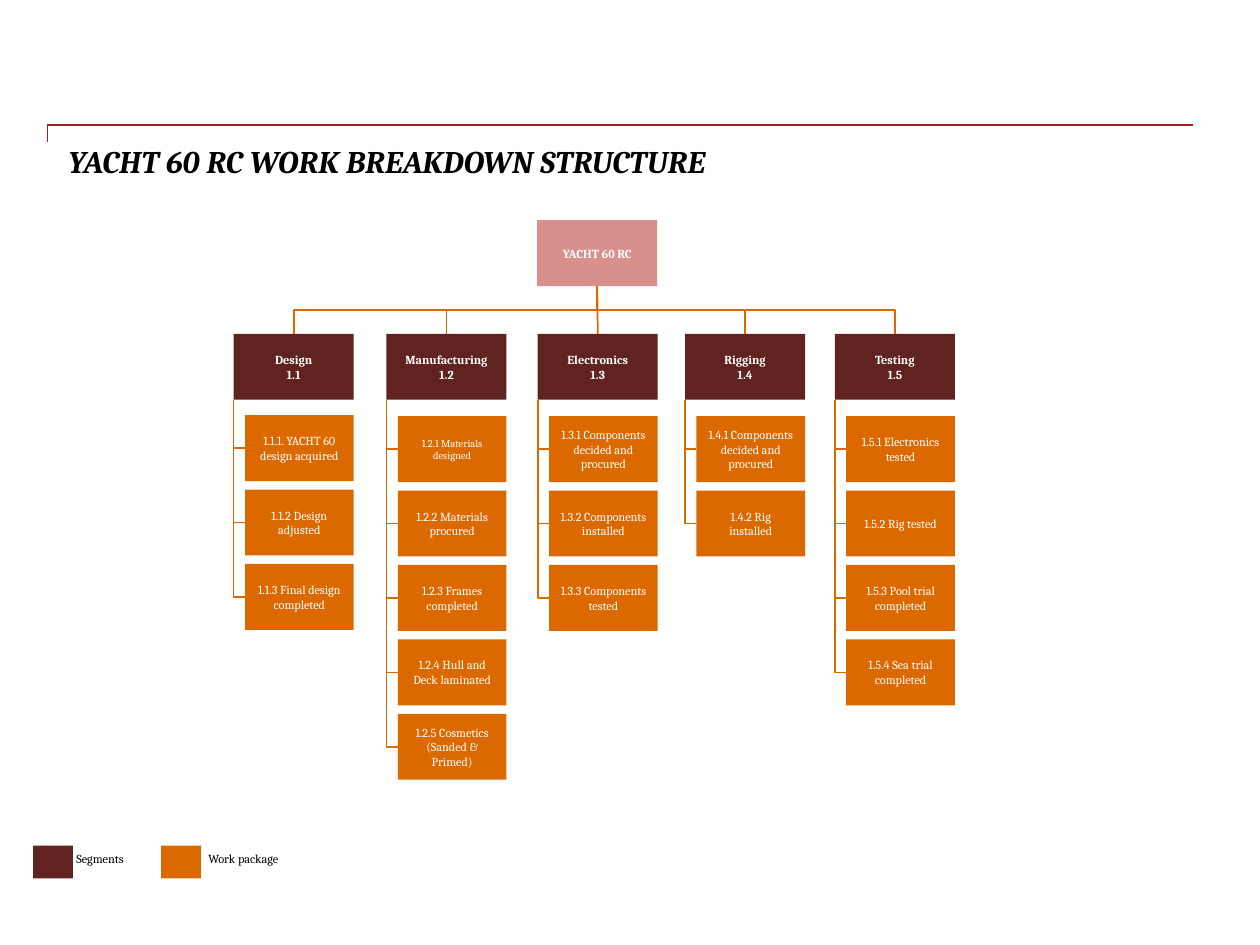
from dataclasses import dataclass

from lxml.etree import SubElement
from pptx import Presentation
from pptx.dml.color import RGBColor
from pptx.enum.shapes import MSO_CONNECTOR, MSO_SHAPE
from pptx.enum.text import MSO_ANCHOR, MSO_AUTO_SIZE, PP_ALIGN
from pptx.oxml.ns import qn
from pptx.util import Cm, Pt

FONT = "Cambria"
ROOT, SEGMENT, PACKAGE = "D9908C", "602320", "DC6900"
WHITE, BLACK, RULE = "FFFFFF", "000000", "A32020"

# Lengths in centimetres
BOX_W, BOX_H = 2.42, 1.33
INDENT = 0.23
ROOT_X, ROOT_Y = 10.83, 4.44
SEGMENT_Y = 6.73
PITCH = 1.5


@dataclass
class Segment:
    x: float
    name: str
    code: str
    packages: list[str]
    first_y: float = 8.39
    first_size: float = 7


SEGMENTS = [
    Segment(4.71, "Design", "1.1", [
        "1.1.1. YACHT 60 design acquired", "1.1.2 Design adjusted",
        "1.1.3 Final design completed"], first_y=8.37),
    Segment(7.79, "Manufacturing", "1.2", [
        "1.2.1 Materials designed", "1.2.2 Materials procured",
        "1.2.3 Frames completed", "1.2.4 Hull and Deck laminated",
        "1.2.5 Cosmetics\n(Sanded & Primed)"], first_size=6),
    Segment(10.84, "Electronics", "1.3", [
        "1.3.1 Components decided and procured", "1.3.2 Components installed",
        "1.3.3 Components tested"]),
    Segment(13.81, "Rigging", "1.4", [
        "1.4.1 Components decided and procured", "1.4.2 Rig installed"]),
    Segment(16.83, "Testing", "1.5", [
        "1.5.1 Electronics tested", "1.5.2 Rig tested",
        "1.5.3 Pool trial completed", "1.5.4 Sea trial completed"]),
]


def color(hex_code: str) -> RGBColor:
    return RGBColor.from_string(hex_code)


def write(tf, text: str, size: float, ink: str, bold=False, italic=False,
          align=PP_ALIGN.LEFT) -> None:
    for i, line in enumerate(text.split("\n")):
        p = tf.paragraphs[0] if i == 0 else tf.add_paragraph()
        p.alignment = align
        r = p.add_run()
        r.text = line
        r.font.name, r.font.size = FONT, Pt(size)
        r.font.bold, r.font.italic = bold, italic
        r.font.color.rgb = color(ink)


def set_margins(tf, side: float, top: float) -> None:
    tf.margin_left = tf.margin_right = Cm(side)
    tf.margin_top = tf.margin_bottom = Cm(top)


def add_box(s, x: float, y: float, w: float, h: float, fill: str,
            text: str = "", size: float = 7, bold=False):
    sp = s.shapes.add_shape(MSO_SHAPE.RECTANGLE, Cm(x), Cm(y), Cm(w), Cm(h))
    sp.shadow.inherit = False
    sp.fill.solid()
    sp.fill.fore_color.rgb = color(fill)
    sp.line.fill.background()
    if text:
        tf = sp.text_frame
        tf.word_wrap = True
        tf.vertical_anchor = MSO_ANCHOR.MIDDLE
        set_margins(tf, 0.23, 0.11)
        write(tf, text, size, WHITE, bold, align=PP_ALIGN.CENTER)
    return sp


def add_line(s, x1: float, y1: float, x2: float, y2: float, ink: str = PACKAGE,
             width: float = 1, kind=MSO_CONNECTOR.STRAIGHT):
    c = s.shapes.add_connector(kind, Cm(x1), Cm(y1), Cm(x2), Cm(y2))
    c.line.color.rgb = color(ink)
    c.line.width = Pt(width)
    SubElement(c._element.spPr, qn("a:effectLst"))
    return c


def add_elbow(s, x1: float, y1: float, x2: float, y2: float, preset: str,
              start=None, end=None, end_site: int = 0) -> None:
    """Draw an elbow that leaves its start point downwards."""
    c = add_line(s, x1, y1, x2, y2, kind=MSO_CONNECTOR.ELBOW)
    if start is not None:
        c.begin_connect(start, 2)
    if end is not None:
        c.end_connect(end, end_site)
    # The preset leaves sideways, so its frame is turned by a quarter
    w, h = y2 - y1, abs(x2 - x1)
    c.left, c.top = Cm((x1 + x2 - w) / 2), Cm((y1 + y2 - h) / 2)
    c.width, c.height = Cm(w), Cm(h)
    spPr = c._element.spPr
    xfrm = spPr.find(qn("a:xfrm"))
    for flip in ("flipH", "flipV"):
        xfrm.attrib.pop(flip, None)
    xfrm.set("rot", str((270 if x2 > x1 else 90) * 60000))
    if x2 > x1:
        xfrm.set("flipH", "1")
    spPr.find(qn("a:prstGeom")).set("prst", preset)


def add_segment(s, seg: Segment, root) -> None:
    head = add_box(s, seg.x, SEGMENT_Y, BOX_W, BOX_H, SEGMENT,
                   f"{seg.name}\n{seg.code}", bold=True)
    root_mid, root_end = ROOT_X + BOX_W / 2, ROOT_Y + BOX_H
    mid = seg.x + BOX_W / 2
    if abs(mid - root_mid) < 0.05:
        c = add_line(s, root_mid, root_end, mid, SEGMENT_Y)
        c.begin_connect(root, 2)
        c.end_connect(head, 0)
    else:
        add_elbow(s, root_mid, root_end, mid, SEGMENT_Y, "bentConnector3",
                  root, head)
    for i, text in enumerate(seg.packages):
        x, y = seg.x + INDENT, seg.first_y + i * PITCH
        box = add_box(s, x, y, BOX_W - INDENT, BOX_H, PACKAGE, text,
                      seg.first_size if i == 0 else 7)
        add_elbow(s, seg.x, SEGMENT_Y + BOX_H, x, y + BOX_H / 2,
                  "bentConnector2", end=box, end_site=1)


def add_legend(s, x: float, label_x: float, fill: str, label: str) -> None:
    add_box(s, x, 17.05, 0.8, 0.66, fill)
    tf = s.shapes.add_textbox(Cm(label_x), Cm(17.17), Cm(2.74), Cm(0.3)).text_frame
    tf.word_wrap = True
    set_margins(tf, 0, 0)
    write(tf, label, 7, BLACK)


def main() -> None:
    prs = Presentation()
    prs.slide_width, prs.slide_height = Cm(25.4), Cm(19.05)
    s = prs.slides.add_slide(prs.slide_layouts[5])

    # Heading rule: a short tick up, then across
    rule = add_line(s, 0.96, 2.86, 24.05, 2.52, RULE, 0.75, MSO_CONNECTOR.ELBOW)
    guides = rule._element.spPr.find(qn("a:prstGeom")).get_or_add_avLst()
    SubElement(guides, qn("a:gd"), name="adj1", fmla="val 0")

    # Title
    title = s.shapes.title
    title.left, title.top = Cm(1.38), Cm(2.87)
    title.width, title.height = Cm(23.2), Cm(1.17)
    tf = title.text_frame
    tf.auto_size = MSO_AUTO_SIZE.NONE
    tf.vertical_anchor = MSO_ANCHOR.TOP
    set_margins(tf, 0, 0)
    write(tf, "YACHT 60 RC WORK BREAKDOWN STRUCTURE", 18, BLACK, True, True)

    # Breakdown tree
    root = add_box(s, ROOT_X, ROOT_Y, BOX_W, BOX_H, ROOT, "YACHT 60 RC", bold=True)
    for seg in SEGMENTS:
        add_segment(s, seg, root)

    # Legend
    add_legend(s, 0.67, 1.54, SEGMENT, "Segments")
    add_legend(s, 3.25, 4.2, PACKAGE, "Work package")

    prs.save("out.pptx")


if __name__ == "__main__":
    main()
